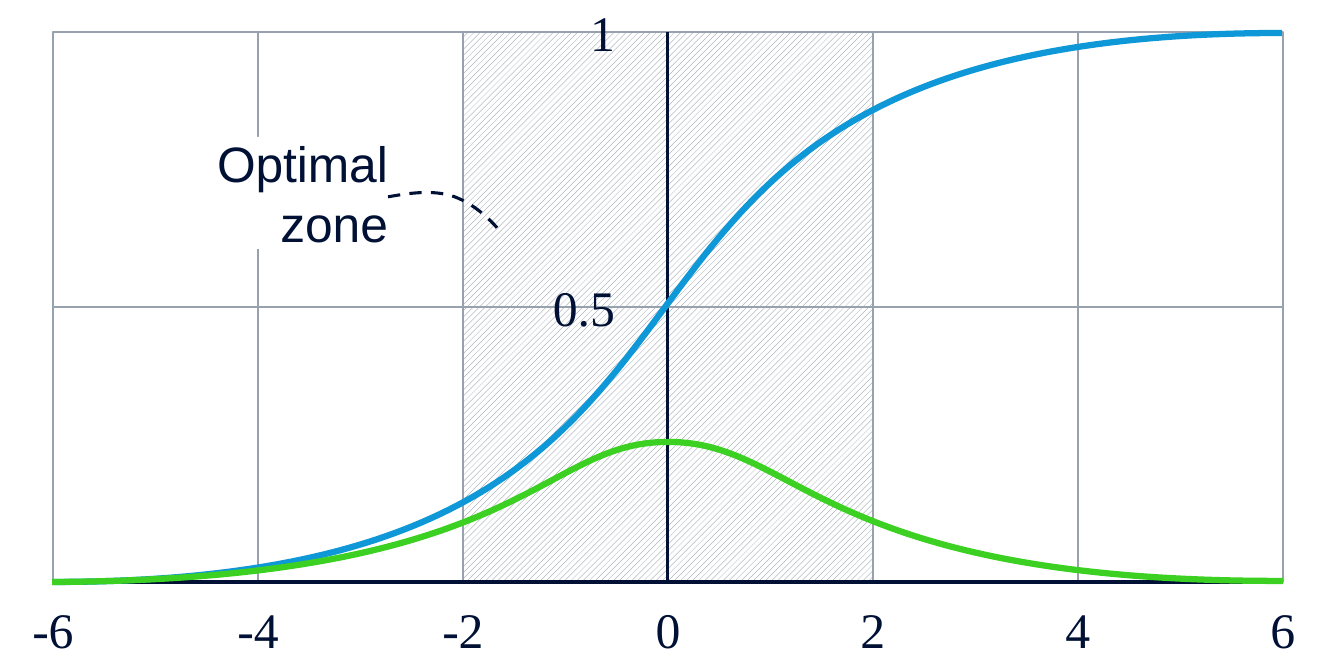
"""Build a slide with a sigmoid curve, its derivative and the optimal zone."""
from lxml import etree
from pptx import Presentation
from pptx import util as u
from pptx.dml.color import RGBColor
from pptx.enum import dml, shapes, text
from pptx.oxml.ns import qn

SCALE = 914400 / 224
SLIDE = (1344, 672)
COLORS = {"ink": "001135", "grid": "98A2AE", "paper": "FFFFFF",
          "sigmoid": "0E98D7", "derivative": "3BD022"}
LEFT, TOP, RIGHT, BOTTOM = 53, 32, 1283, 582
X_TICKS = [-6, -4, -2, 0, 2, 4, 6]
Y_TICKS = [1, 0.5]
ZONE = (-2, 2)
ZONE_LABEL = ("Optimal zone", (150, 137, 238, 112))
X_LABEL_SIZE = (100, 62)
X_LABEL_TOP = 598
Y_LABEL_SIZE = (92, 44)
Y_LABEL_RIGHT = 615
SIGMOID = [(53, 582), (871, 582), (457, 33), (1282, 33)]
DERIVATIVE = [(52, 582), (529, 580), (538, 442), (668, 442),
              (800, 442), (818, 582), (1283, 581)]
CALLOUT = [(388, 197), (410, 193), (432, 190), (452, 196),
           (470, 202), (486, 215), (498, 229)]


def px(*lengths):
    return [round(length * SCALE) for length in lengths]


def rgb(name):
    return RGBColor.from_string(COLORS[name])


def x_at(value):
    span = X_TICKS[-1] - X_TICKS[0]
    return LEFT + (RIGHT - LEFT) * (value - X_TICKS[0]) / span


def y_at(value):
    return BOTTOM - (BOTTOM - TOP) * value


def set_line(line, color, width, dash=None):
    line.color.rgb = rgb(color)
    line.width = u.Pt(width)
    if dash:
        line.dash_style = dash


def add_rect(slide, box):
    rect = slide.shapes.add_shape(shapes.MSO_SHAPE.RECTANGLE, *px(*box))
    rect.shadow.inherit = False
    rect.fill.background()
    rect.line.fill.background()
    return rect


def add_rule(slide, start, end, color, width):
    rule = slide.shapes.add_connector(
        shapes.MSO_CONNECTOR.STRAIGHT, *px(*start, *end))
    etree.SubElement(rule._element.spPr, qn("a:effectLst"))
    set_line(rule.line, color, width)
    return rule


def add_curve(slide, points, color, width, dash=None):
    start, *rest = [px(*point) for point in points]
    builder = slide.shapes.build_freeform(*start)
    builder.add_line_segments(rest, close=False)
    curve = builder.convert_to_shape()
    segments = list(curve._element.iter(qn("a:lnTo")))
    for first in range(0, len(segments), 3):
        bezier = etree.Element(qn("a:cubicBezTo"))
        segments[first].addprevious(bezier)
        for segment in segments[first:first + 3]:
            bezier.append(segment[0])
            segment.getparent().remove(segment)
    curve.shadow.inherit = False
    curve.fill.background()
    set_line(curve.line, color, width, dash)


def write(shape, words, align=text.PP_ALIGN.RIGHT, font="Times New Roman"):
    frame = shape.text_frame
    frame.word_wrap = True
    frame.vertical_anchor = text.MSO_ANCHOR.MIDDLE
    frame.margin_left = frame.margin_right = 0
    frame.margin_top = frame.margin_bottom = 0
    paragraph = frame.paragraphs[0]
    paragraph.text = words
    paragraph.alignment = align
    paragraph.space_after = u.Pt(3)
    paragraph.font.name = font
    paragraph.font.size = u.Pt(16)
    paragraph.font.color.rgb = rgb("ink")


def add_grid(slide):
    zone_left, zone_right = map(x_at, ZONE)
    zone = add_rect(slide, (zone_left, TOP, zone_right - zone_left, BOTTOM - TOP))
    zone.fill.patterned()
    zone.fill.pattern = dml.MSO_PATTERN.DARK_UPWARD_DIAGONAL
    zone.fill.fore_color.rgb = rgb("grid")
    zone.fill.back_color.rgb = rgb("paper")

    plot = add_rect(slide, (LEFT, TOP, RIGHT - LEFT, BOTTOM - TOP))
    set_line(plot.line, "grid", 0.5)
    for tick in X_TICKS[1:-1]:
        if tick:
            x = x_at(tick)
            add_rule(slide, (x, TOP), (x, BOTTOM), "grid", 0.5)
    y_axis = add_rule(slide, (x_at(0), TOP), (x_at(0), BOTTOM), "ink", 1)
    y_axis.begin_connect(plot, 0)
    y_axis.end_connect(plot, 2)
    half = add_rule(slide, (RIGHT, y_at(0.5)), (LEFT, y_at(0.5)), "grid", 0.5)
    half.begin_connect(plot, 3)
    half.end_connect(plot, 1)
    add_rule(slide, (RIGHT, BOTTOM), (LEFT, BOTTOM), "ink", 1)


def add_tick_labels(slide):
    width, height = X_LABEL_SIZE
    for tick in X_TICKS:
        label = slide.shapes.add_textbox(
            *px(x_at(tick) - width / 2, X_LABEL_TOP, width, height))
        write(label, str(tick), align=text.PP_ALIGN.CENTER)
    width, height = Y_LABEL_SIZE
    for tick in Y_TICKS:
        label = slide.shapes.add_textbox(
            *px(Y_LABEL_RIGHT - width, y_at(tick) - height / 2, width, height))
        write(label, str(tick))


def main():
    deck = Presentation()
    deck.slide_width, deck.slide_height = px(*SLIDE)
    slide = deck.slides.add_slide(deck.slide_layouts[6])
    add_grid(slide)
    add_tick_labels(slide)
    add_curve(slide, SIGMOID, "sigmoid", 2)
    add_curve(slide, DERIVATIVE, "derivative", 2)
    words, box = ZONE_LABEL
    zone_label = add_rect(slide, box)
    zone_label.fill.solid()
    zone_label.fill.fore_color.rgb = rgb("paper")
    write(zone_label, words, font="Arial")
    add_curve(slide, CALLOUT, "ink", 1, dash=dml.MSO_LINE.DASH)
    deck.save("out.pptx")


if __name__ == "__main__":
    main()
